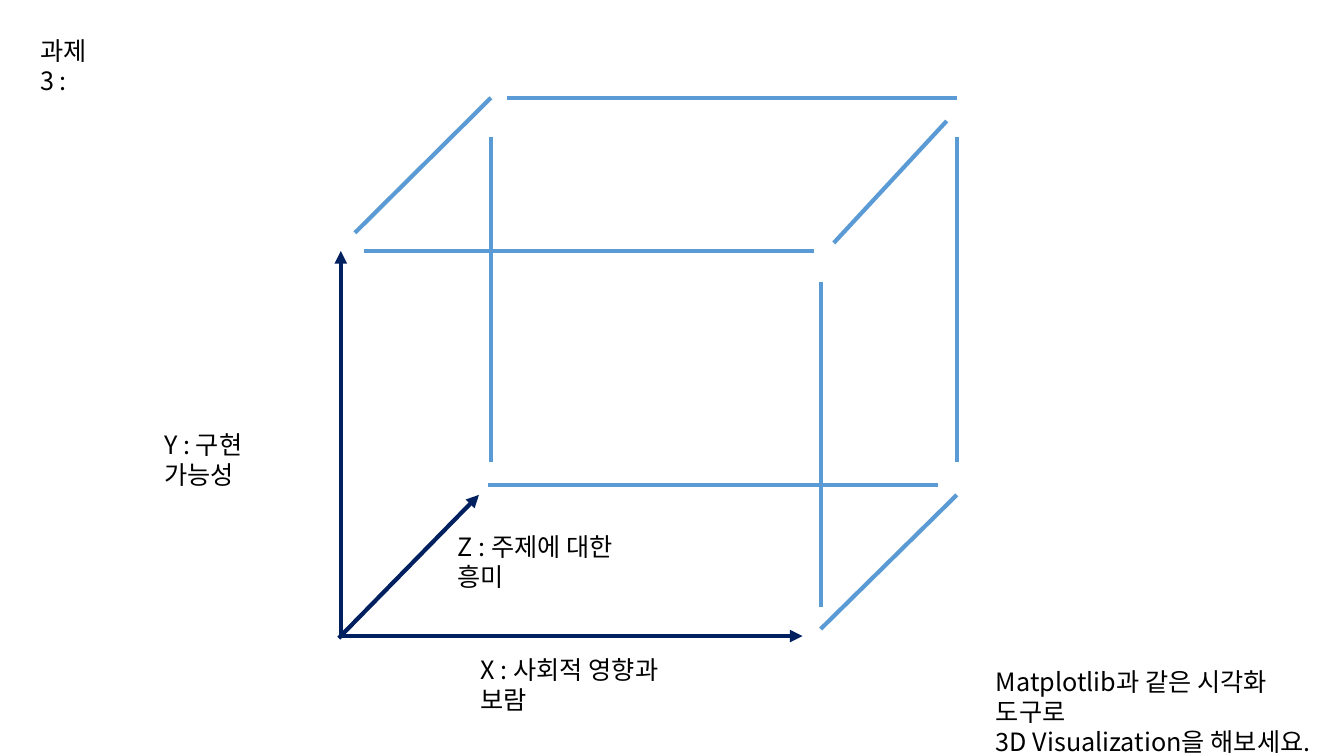
import pptx
import pptx.dml.color
import pptx.enum.shapes
import pptx.enum.text
import pptx.oxml.ns
import pptx.util
from lxml import etree

Inches = pptx.util.Inches
COLORS = {"text": "000000", "axis": "002060", "edge": "5B9BD5"}
FONT = "Noto Sans CJK KR"
TEXT_FORMAT = {"name": FONT, "size": pptx.util.Pt(18), "bold": False}
FRAME_FORMAT = {
    "word_wrap": True,
    "auto_size": pptx.enum.text.MSO_AUTO_SIZE.SHAPE_TO_FIT_TEXT,
    "vertical_anchor": pptx.enum.text.MSO_ANCHOR.TOP,
}

HEADING = ("과제3 :", (0.3, 0.3, 0.9, 0.4))
LABELS = [
    (["Y : 구현 가능성"], (1.53, 4.21, 1.61, 0.4)),
    (["X : 사회적 영향과 보람"], (4.67, 6.44, 2.35, 0.4)),
    (["Z : 주제에 대한 흥미"], (4.44, 5.22, 2.1, 0.4)),
    (["Matplotlib과 같은 시각화 도구로", "3D Visualization을 해보세요."],
     (9.78, 6.56, 3.4, 0.71)),
]
AXES = [
    (3.38, 6.33, 3.38, 2.49),
    (3.36, 6.31, 7.96, 6.31),
    (3.36, 6.33, 4.75, 4.91),
]
EDGE_WIDTH, EDGE_HEIGHT = 4.46, 3.22
WIDTH_EDGE_STARTS = [(3.61, 2.49), (5.03, 0.97), (4.84, 4.81)]
HEIGHT_EDGE_STARTS = [(4.87, 1.36), (9.49, 1.36), (8.14, 2.8)]
DEPTH_EDGES = [
    (3.52, 2.31, 4.87, 0.97),
    (8.27, 2.41, 9.39, 1.2),
    (8.14, 6.24, 9.49, 4.91),
]


class CubeSlide:
    def __init__(self, presentation):
        self.slide = presentation.slides.add_slide(presentation.slide_layouts[5])

    def fill_text(self, frame, paragraphs):
        for name, value in FRAME_FORMAT.items():
            setattr(frame, name, value)
        for index, wording in enumerate(paragraphs):
            paragraph = frame.add_paragraph() if index else frame.paragraphs[0]
            paragraph.alignment = pptx.enum.text.PP_ALIGN.LEFT
            run = paragraph.add_run()
            run.text = wording
            for name, value in TEXT_FORMAT.items():
                setattr(run.font, name, value)
            run.font.color.rgb = pptx.dml.color.RGBColor.from_string(COLORS["text"])
            east_asian = etree.SubElement(run.font._element, pptx.oxml.ns.qn("a:ea"))
            east_asian.set("typeface", FONT)

    def heading(self, wording, box):
        title = self.slide.shapes.title
        for name, value in zip(("left", "top", "width", "height"), box):
            setattr(title, name, Inches(value))
        self.fill_text(title.text_frame, [wording])

    def label(self, paragraphs, box):
        text_box = self.slide.shapes.add_textbox(*map(Inches, box))
        self.fill_text(text_box.text_frame, paragraphs)

    def line(self, ends, color, arrow=False):
        connector = self.slide.shapes.add_connector(
            pptx.enum.shapes.MSO_CONNECTOR.STRAIGHT, *map(Inches, ends))
        connector.line.width = pptx.util.Pt(3)
        connector.line.color.rgb = pptx.dml.color.RGBColor.from_string(COLORS[color])
        properties = connector._element.spPr
        if arrow:
            outline = properties.find(pptx.oxml.ns.qn("a:ln"))
            etree.SubElement(outline, pptx.oxml.ns.qn("a:tailEnd")).set("type", "triangle")
        etree.SubElement(properties, pptx.oxml.ns.qn("a:effectLst"))


def main():
    presentation = pptx.Presentation()
    presentation.slide_width = Inches(13.33)
    presentation.slide_height = Inches(7.5)
    cube = CubeSlide(presentation)
    cube.heading(*HEADING)
    for axis in AXES:
        cube.line(axis, "axis", arrow=True)
    width_edges = [(x, y, x + EDGE_WIDTH, y) for x, y in WIDTH_EDGE_STARTS]
    height_edges = [(x, y, x, y + EDGE_HEIGHT) for x, y in HEIGHT_EDGE_STARTS]
    for edge in width_edges + DEPTH_EDGES + height_edges:
        cube.line(edge, "edge")
    for paragraphs, box in LABELS:
        cube.label(paragraphs, box)
    presentation.save("out.pptx")


if __name__ == "__main__":
    main()
